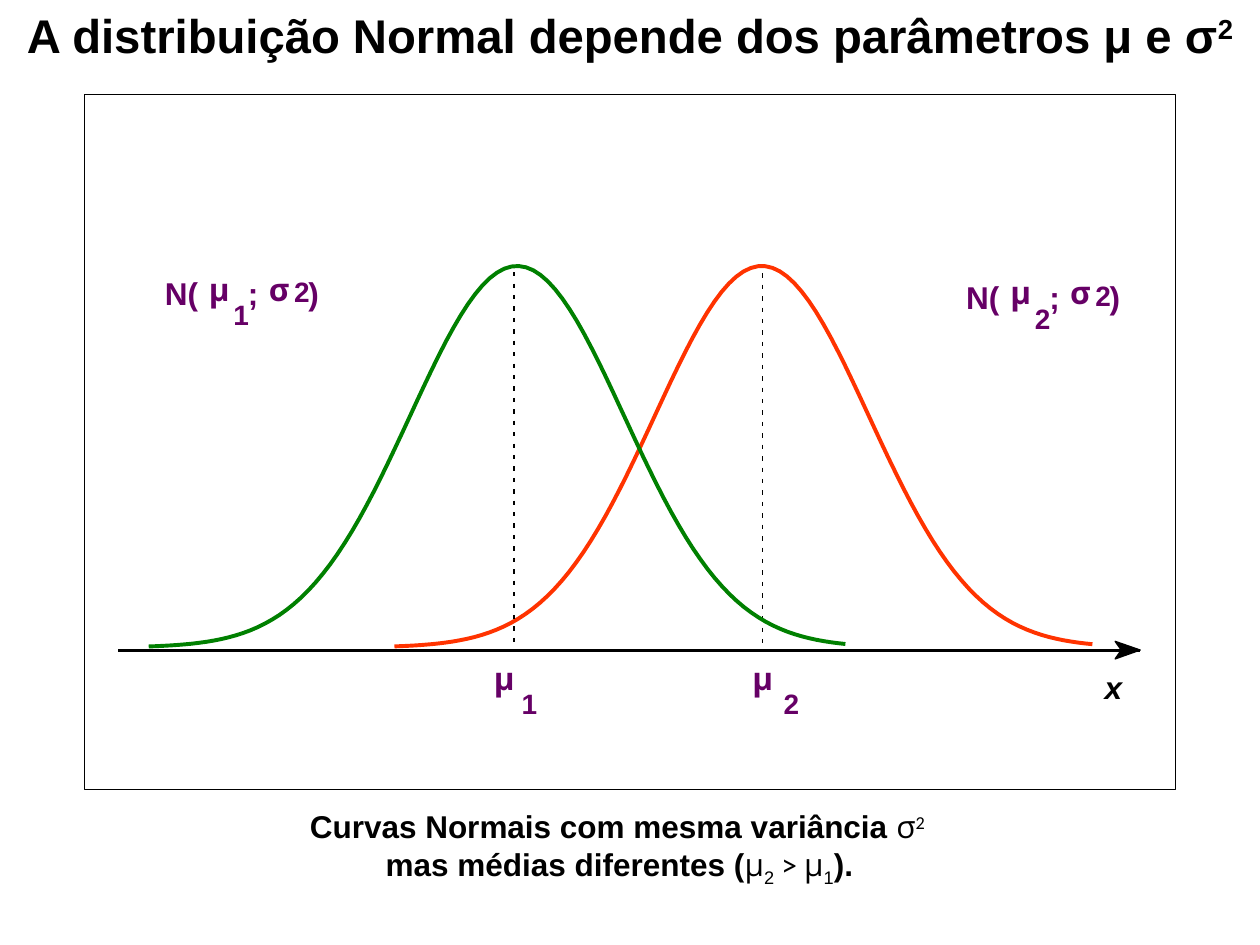
"""Build a slide that compares two normal curves of equal variance."""
import dataclasses
import math

import lxml.etree
import pptx
import pptx.dml.color
import pptx.enum.shapes
import pptx.enum.text
import pptx.oxml.ns
import pptx.util


@dataclasses.dataclass(frozen=True)
class Theme:
    black: str = "000000"
    white: str = "FFFFFF"
    purple: str = "660066"
    green: str = "008000"
    red: str = "FF3300"
    sans: str = "Arial"
    greek: str = "Open Sans"
    light: str = "Calibri"
    title: float = 27
    body: float = 18
    index: float = 16


class SlideBuilder:
    def __init__(self, slide, theme):
        self.slide = slide
        self.theme = theme

    def color(self, value):
        return pptx.dml.color.RGBColor.from_string(value)

    def place(self, shape, left, top, width, height):
        shape.left, shape.top = pptx.util.Pt(left), pptx.util.Pt(top)
        shape.width, shape.height = pptx.util.Pt(width), pptx.util.Pt(height)

    def stroke(self, shape, color, weight):
        shape.line.color.rgb = self.color(color)
        shape.line.width = pptx.util.Pt(weight)

    def paint(self, shape, fill, line, weight):
        shape.shadow.inherit = False
        if fill:
            shape.fill.solid()
            shape.fill.fore_color.rgb = self.color(fill)
        else:
            shape.fill.background()
        self.stroke(shape, line, weight)

    def run(self, paragraph, text, size, font=None, color=None, bold=True, italic=False, baseline=0):
        run = paragraph.add_run()
        run.text = text
        run.font.name = font or self.theme.sans
        run.font.size = pptx.util.Pt(size)
        run.font.bold, run.font.italic = bold, italic
        run.font.color.rgb = self.color(color or self.theme.black)
        if baseline:
            run._r.get_or_add_rPr().set("baseline", str(baseline * 1000))

    def frame(self, shape, inset=True):
        frame = shape.text_frame
        frame.word_wrap = True
        frame.auto_size = pptx.enum.text.MSO_AUTO_SIZE.NONE
        frame.vertical_anchor = pptx.enum.text.MSO_ANCHOR.TOP
        frame.margin_left = frame.margin_right = pptx.util.Pt(7.2 if inset else 0)
        frame.margin_top = frame.margin_bottom = pptx.util.Pt(3.6 if inset else 0)
        return frame

    def text_box(self, left, top, width, height, inset=True):
        shape = self.slide.shapes.add_textbox(0, 0, 0, 0)
        self.place(shape, left, top, width, height)
        return self.frame(shape, inset)

    def title(self, runs):
        shape = self.slide.shapes.title
        self.place(shape, 0, 0, 720, 39.6)
        paragraph = self.frame(shape).paragraphs[0]
        paragraph.alignment = pptx.enum.text.PP_ALIGN.CENTER
        for text, style in runs:
            self.run(paragraph, text, self.theme.title, **style)

    def caption(self, lines):
        frame = self.text_box(-6, 457.7, 720, 64.8)
        for number, runs in enumerate(lines):
            paragraph = frame.paragraphs[0] if number == 0 else frame.add_paragraph()
            paragraph.alignment = pptx.enum.text.PP_ALIGN.CENTER
            for text, style in runs:
                self.run(paragraph, text, self.theme.body, **style)

    def panel(self, left, top, width, height):
        shape = self.slide.shapes.add_shape(pptx.enum.shapes.MSO_SHAPE.RECTANGLE, 0, 0, 0, 0)
        self.place(shape, left, top, width, height)
        self.paint(shape, self.theme.white, self.theme.black, 0.75)

    def outline(self, points, line, weight, fill=None):
        points = [(pptx.util.Pt(x), pptx.util.Pt(y)) for x, y in points]
        builder = self.slide.shapes.build_freeform(*points[0])
        builder.add_line_segments(points[1:], close=bool(fill))
        self.paint(builder.convert_to_shape(), fill, line, weight)

    def bell(self, mean, start, end, color, deviation=61.2, peak=152, base=370, steps=96):
        points = []
        for step in range(steps + 1):
            x = start + (end - start) * step / steps
            height = (base - peak) * math.exp(-(((x - mean) / deviation) ** 2) / 2)
            points.append((x, base - height))
        self.outline(points, color, 2.25)

    def line(self, start, end, weight):
        ends = [pptx.util.Pt(value) for value in (*start, *end)]
        connector = self.slide.shapes.add_connector(pptx.enum.shapes.MSO_CONNECTOR.STRAIGHT, *ends)
        self.stroke(connector, self.theme.black, weight)
        lxml.etree.SubElement(connector._element.spPr, pptx.oxml.ns.qn("a:effectLst"))

    def mean_line(self, x, top, dashes=33, period=6.53, length=2.5):
        for number in range(dashes):
            start = top + number * period
            self.line((x, start), (x, start + length), 0.87)

    def symbol(self, text, left, top, width, font=None, small=False):
        frame = self.text_box(left, top, width, 19.4 if small else 28.8, inset=False)
        size = self.theme.index if small else self.theme.body
        self.run(frame.paragraphs[0], text, size, font, self.theme.purple)

    def mean_label(self, index, left, index_left):
        self.symbol("μ", left, 376.6, 13.7, self.theme.greek)
        self.symbol(index, index_left, 392.4, 8.6, small=True)

    def distribution_label(self, index, left, top):
        greek = self.theme.greek
        self.symbol("N(", left, top, 25.2)
        self.symbol("μ", left + 25.2, top - 2.4, 13.7, greek)
        self.symbol(index, left + 39.2, top + 13.4, 8.6, small=True)
        self.symbol(";", left + 47.5, top, 13.7)
        self.symbol("σ", left + 59.4, top - 2.4, 14.4, greek)
        self.symbol("2", left + 73.8, top + 0.3, 8.6, small=True)
        self.symbol(")", left + 82, top, 7.9)

    def axis_name(self, text, left, top):
        frame = self.text_box(left, top, 41.8, 36)
        self.run(frame.paragraphs[0], text, self.theme.body, italic=True)


def main():
    presentation = pptx.Presentation()
    presentation.slide_width = pptx.util.Pt(720)
    presentation.slide_height = pptx.util.Pt(540)
    theme = Theme()
    builder = SlideBuilder(presentation.slides.add_slide(presentation.slide_layouts[5]), theme)

    greek = {"font": theme.greek, "bold": False}
    light = {"font": theme.light, "bold": False}
    subscript = {"bold": False, "baseline": -25}
    builder.caption([
        [("Curvas Normais com mesma variância ", {}), ("σ", greek), ("2 ", {**light, "baseline": 30})],
        [("mas médias diferentes (", {}), ("μ", greek), ("2", subscript), (" > ", light),
         ("μ", greek), ("1", subscript), (").", {})],
    ])
    builder.title([("A distribuição Normal depende dos parâmetros μ e σ", {}), ("2", {"baseline": 30})])

    builder.panel(48.2, 54, 623.5, 397)
    builder.bell(435.3, 225.4, 624.2, theme.red)
    builder.mean_line(435.6, 156.2)
    builder.line((67.7, 371.5), (651.6, 371.5), 1.62)
    arrowhead = [(637.2, 376.6), (640.8, 371.5), (637.2, 366.5), (651.6, 371.5)]
    builder.outline(arrowhead, theme.black, 0.75, theme.black)
    builder.bell(295.5, 85, 483.1, theme.green)
    builder.mean_line(293.8, 155.5)

    builder.mean_label("1", 282.2, 298.1)
    builder.mean_label("2", 430, 447.8)
    builder.distribution_label("1", 94.2, 156.6)
    builder.distribution_label("2", 552.1, 158.7)
    builder.axis_name("x", 624.2, 378)
    presentation.save("out.pptx")


if __name__ == "__main__":
    main()
